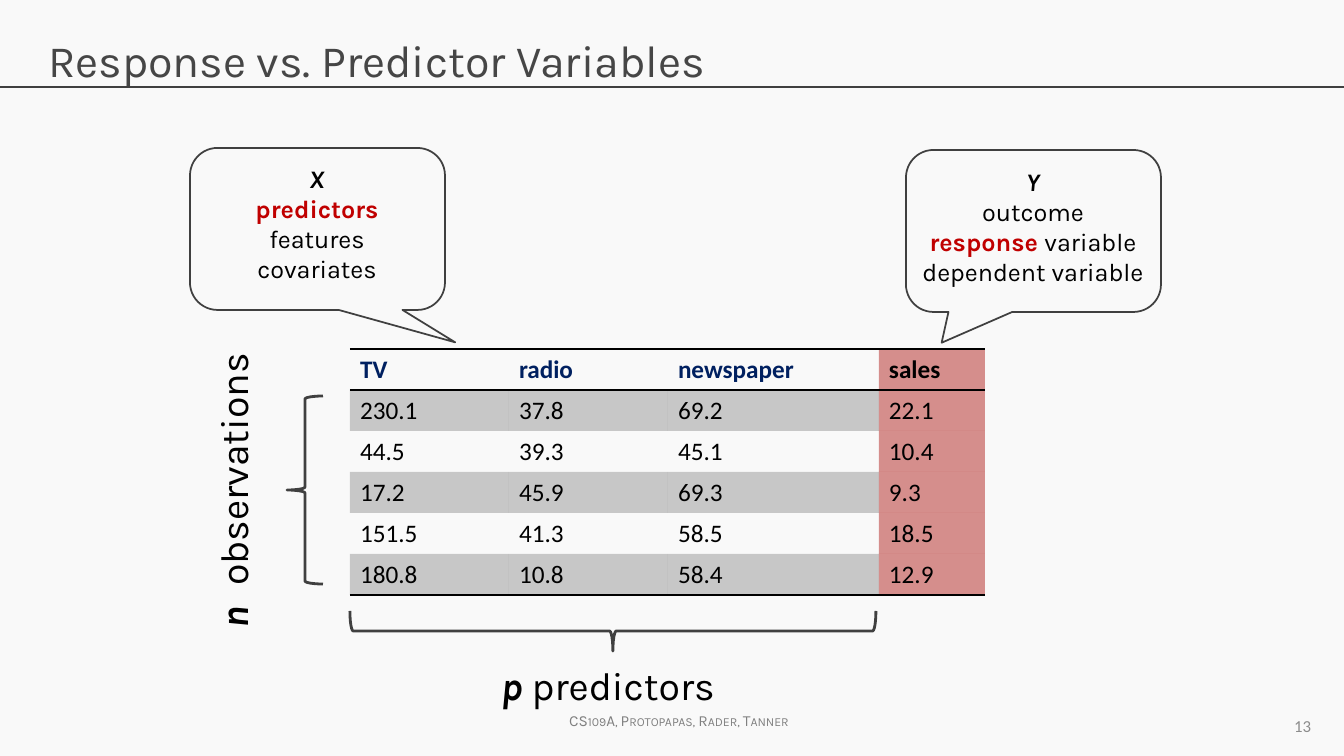
import pptx
import pptx.dml.color
import pptx.enum.shapes
import pptx.enum.text
import pptx.oxml
import pptx.oxml.ns
import pptx.util
from lxml import etree

RGBColor = pptx.dml.color.RGBColor
BACKGROUND = RGBColor(0xF9, 0xF9, 0xF9)
OUTLINE = RGBColor(0x40, 0x40, 0x40)
TITLE = RGBColor(0x46, 0x46, 0x46)
FOOTER = RGBColor(0x80, 0x80, 0x80)
NUMBER = RGBColor(0x8C, 0x8C, 0x8C)
BLACK = RGBColor(0, 0, 0)
NAVY = RGBColor(0x00, 0x20, 0x60)
RED = RGBColor(0xC0, 0, 0)
SALES = RGBColor(0xC0, 0x50, 0x4D)

PX = 914400 / 100.8
ALIGN = pptx.enum.text.PP_ALIGN
ANCHOR = pptx.enum.text.MSO_ANCHOR
SHAPE = pptx.enum.shapes.MSO_SHAPE
qn = pptx.oxml.ns.qn


def px(*lengths):
    return [pptx.util.Emu(round(length * PX)) for length in lengths]


def add_text(box, lines, size, color=BLACK, align=ALIGN.CENTER, font="Karla"):
    text_box = slide.shapes.add_textbox(*px(*box))
    frame = text_box.text_frame
    frame.word_wrap = False
    for index, line in enumerate(lines):
        paragraph = frame.paragraphs[0] if index == 0 else frame.add_paragraph()
        paragraph.alignment = align
        paragraph.font.name = font
        paragraph.font.size = pptx.util.Pt(size)
        paragraph.font.color.rgb = color
        for text, style in line:
            run = paragraph.add_run()
            run.text = text
            run.font.bold = "b" in style
            run.font.italic = "i" in style
            if "r" in style:
                run.font.color.rgb = RED
    return text_box


presentation = pptx.Presentation()
presentation.slide_width, presentation.slide_height = px(1344, 756)
slide = presentation.slides.add_slide(presentation.slide_layouts[5])
slide.background.fill.solid()
slide.background.fill.fore_color.rgb = BACKGROUND

title = slide.shapes.title
title.left, title.top, title.width, title.height = px(38, 24, 1267, 85)
title.text_frame.text = "Response vs. Predictor Variables"
title.text_frame.auto_size = pptx.enum.text.MSO_AUTO_SIZE.NONE
title.text_frame.vertical_anchor = ANCHOR.TOP
title.text_frame.margin_top = px(9)[0]
paragraph = title.text_frame.paragraphs[0]
paragraph.alignment = ALIGN.LEFT
paragraph.font.name = "Karla"
paragraph.font.size = pptx.util.Pt(32)
paragraph.font.color.rgb = TITLE

rule = slide.shapes.add_connector(
    pptx.enum.shapes.MSO_CONNECTOR.STRAIGHT, *px(0, 87, 1344, 87))
rule.line.color.rgb = OUTLINE
rule.line.width = pptx.util.Pt(0.75)
etree.SubElement(rule.element.spPr, qn("a:effectLst"))

footer = add_text((553, 706, 252, 29),
                  [[("CS109A, Protopapas, Rader, Tanner", "")]], 11, FOOTER)
footer.text_frame.paragraphs[0].runs[0].font._element.set("cap", "small")

rows = [
    ("TV", "radio", "newspaper", "sales"),
    ("230.1", "37.8", "69.2", "22.1"),
    ("44.5", "39.3", "45.1", "10.4"),
    ("17.2", "45.9", "69.3", "9.3"),
    ("151.5", "41.3", "58.5", "18.5"),
    ("180.8", "10.8", "58.4", "12.9"),
]
column_widths = px(159, 159, 211, 106)
table = slide.shapes.add_table(6, 4, *px(350, 349, 635, 246)).table
table.first_row = table.horz_banding = False
table._tbl.tblPr.find(qn("a:tableStyleId")).text = "{2D5ABB26-0587-4C30-8999-92F81FD0307C}"
for column, width in zip(table.columns, column_widths):
    column.width = width
for row_index, row in enumerate(rows):
    table.rows[row_index].height = px(41)[0]
    borders = {0: ["a:lnT", "a:lnB"], 5: ["a:lnB"]}.get(row_index, [])
    for column_index, value in enumerate(row):
        cell = table.cell(row_index, column_index)
        cell.text = value
        is_sales = column_index == 3
        paragraph = cell.text_frame.paragraphs[0]
        paragraph.font.name = "Calibri"
        paragraph.font.size = pptx.util.Pt(18)
        paragraph.font.bold = row_index == 0
        paragraph.font.color.rgb = NAVY if row_index == 0 and not is_sales else BLACK
        properties = cell._tc.get_or_add_tcPr()
        if is_sales or row_index % 2:
            cell.fill.solid()
            cell.fill.fore_color.rgb = SALES if is_sales else BLACK
            color = properties.find(".//" + qn("a:srgbClr"))
            etree.SubElement(color, qn("a:alpha"), val="63000" if is_sales else "20000")
        else:
            cell.fill.background()
        for position, tag in enumerate(borders):
            border = etree.Element(qn(tag), w="12700")
            fill = etree.SubElement(border, qn("a:solidFill"))
            etree.SubElement(fill, qn("a:srgbClr"), val=str(BLACK))
            properties.insert(position, border)

number = add_text((1008, 706, 313, 40), [[("13", "")]], 12, NUMBER, ALIGN.RIGHT, "Calibri")
number.text_frame.word_wrap = True
number.text_frame.vertical_anchor = ANCHOR.MIDDLE

response_lines = [
    [("Y", "bi")],
    [("outcome", "")],
    [("response ", "br"), ("variable", "")],
    [("dependent variable", "")],
]
predictor_lines = [
    [("X", "bi")],
    [("predictors", "br")],
    [("features", "")],
    [("covariates", "")],
]
callouts = [
    ((906, 150, 255, 162), (-0.36, 0.69, 0.17), (908, 161, 250, 163), response_lines),
    ((190, 148, 255, 162), (0.54, 0.7, 0.17), (244, 158, 146, 163), predictor_lines),
]
outlined = []
for box, adjustments, text_box, lines in callouts:
    callout = slide.shapes.add_shape(SHAPE.ROUNDED_RECTANGULAR_CALLOUT, *px(*box))
    for index, adjustment in enumerate(adjustments):
        callout.adjustments[index] = adjustment
    outlined.append((callout, 1.25))
    add_text(text_box, lines, 18)

predictor_brace = slide.shapes.add_shape(SHAPE.LEFT_BRACE, *px(593, 368, 40, 526))
predictor_brace.rotation = 270
add_text((491, 656, 238, 57), [[("p", "bi"), (" predictors", "")]], 28, align=ALIGN.LEFT)

observation_brace = slide.shapes.add_shape(SHAPE.LEFT_BRACE, *px(287, 396, 36, 188))
observations = add_text((84, 461, 297, 57),
                        [[("n", "bi"), (" ", ""), ("observations", "")]], 28, align=ALIGN.LEFT)
observations.rotation = 270
observations.text_frame.paragraphs[0].runs[1].font._element.set("spc", "800")

outlined += [(predictor_brace, 2), (observation_brace, 2)]
for shape, line_width in outlined:
    shape.shadow.inherit = False
    shape.fill.background()
    shape.line.color.rgb = OUTLINE
    shape.line.width = pptx.util.Pt(line_width)

presentation.save("out.pptx")
